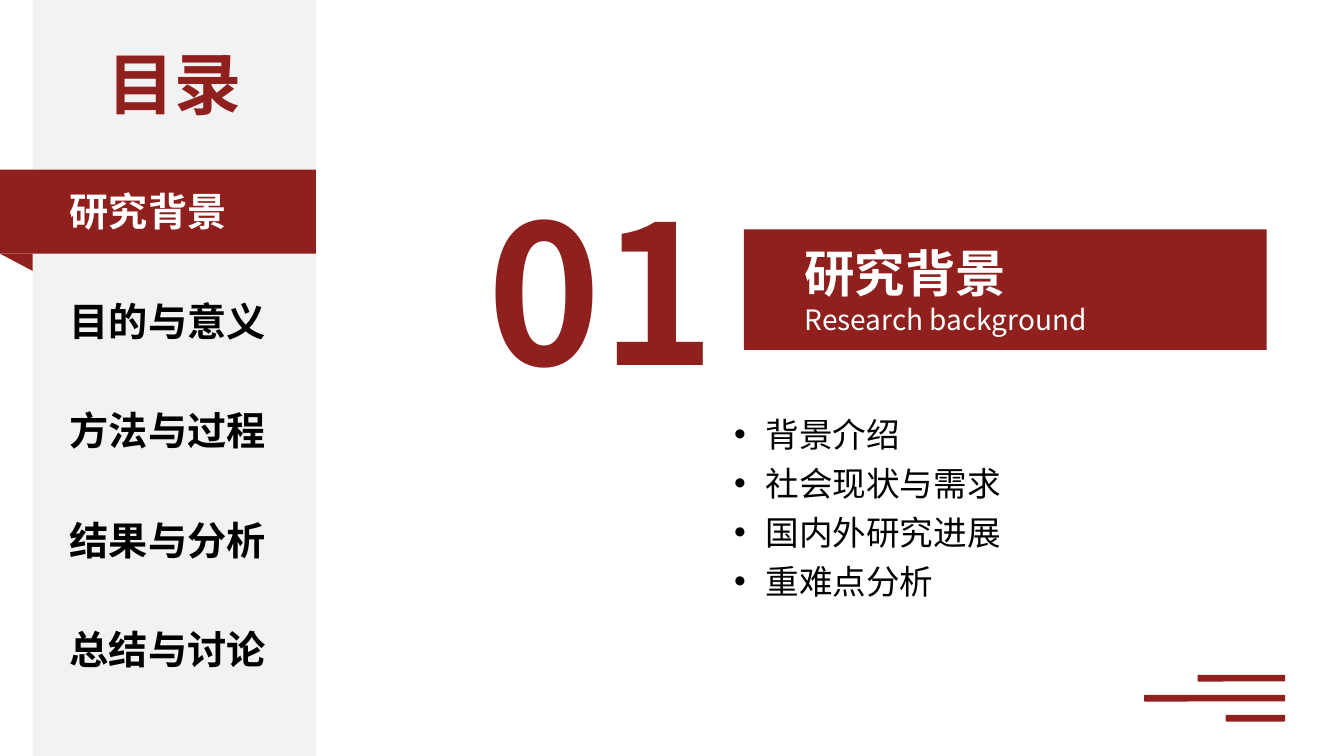
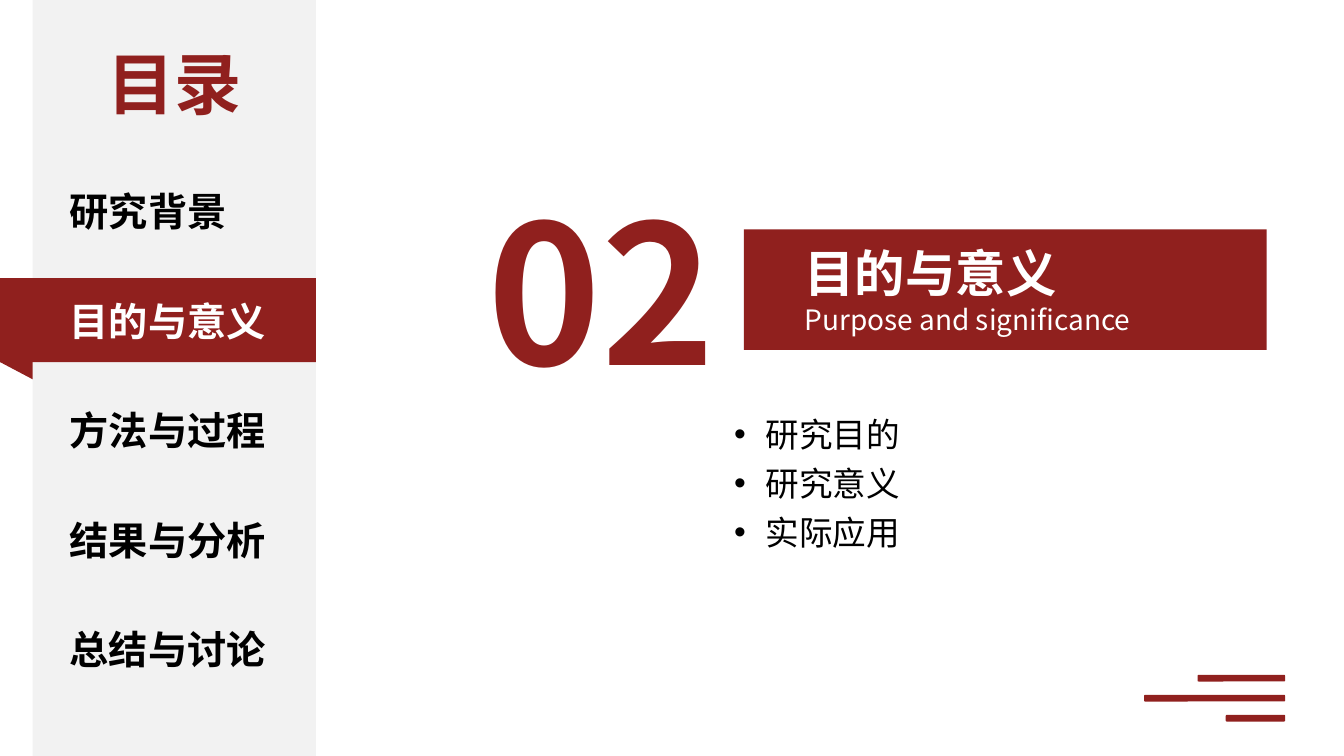
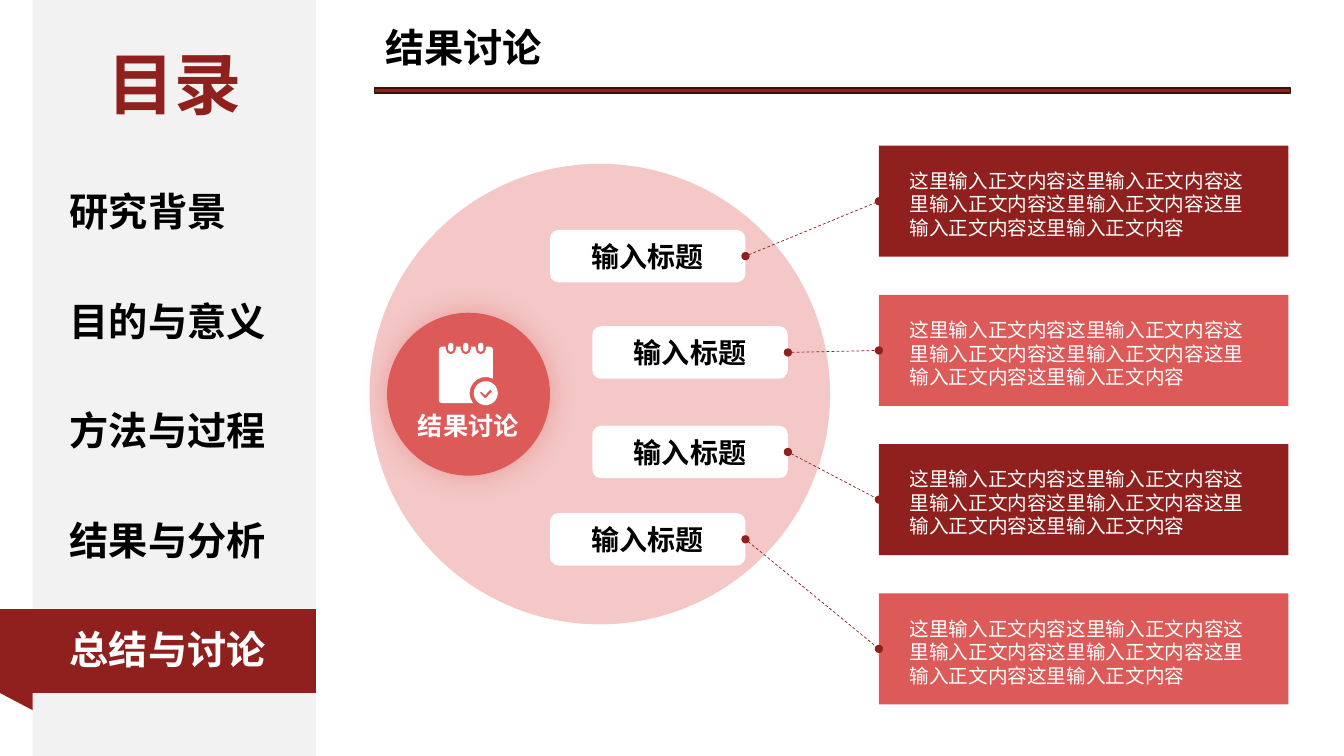
import math

import pptx
import pptx.dml.color
import pptx.enum.dml
import pptx.enum.shapes
import pptx.enum.text
import pptx.oxml
import pptx.oxml.ns
import pptx.util

Pt = pptx.util.Pt
KIND = pptx.enum.shapes.MSO_SHAPE
ALIGN = pptx.enum.text.PP_ALIGN
FONT = "Noto Sans CJK SC"
INK = {"red": "90201E", "rose": "DC5A58", "pink": "F3C8C7", "edge": "3F0E0D",
       "grey": "F2F2F2", "white": "FFFFFF", "black": "000000"}

# Sidebar
TOPICS = ["研究背景", "目的与意义", "方法与过程", "结果与分析", "总结与讨论"]
SIDE_X, SIDE_W = 23.3, 202.4
NAV_Y, NAV_STEP = 130.4, 78.2

# Section slides: topic index, ribbon top, English name, points
PARTS = [
    (0, 121.2, "Research background",
     ["背景介绍", "社会现状与需求", "国内外研究进展", "重难点分析"]),
    (1, 198.6, "Purpose and significance", ["研究目的", "研究意义", "实际应用"]),
]

# Result slide
TAGS = [(392.8, 164.2), (423.1, 233), (423.1, 304.1), (392.8, 366.5)]
CARD_X, CARD_Y, CARD_STEP = 627.8, 104.1, 106.58
BODY = "这里输入正文内容" * 6


def rgb(name):
    return pptx.dml.color.RGBColor.from_string(INK[name])


def node(tag, **attrs):
    item = pptx.oxml.parse_xml(f"<a:{tag} {pptx.oxml.ns.nsdecls('a')}/>")
    for key, value in attrs.items():
        item.set(key, str(value))
    return item


# Basic elements
def paint(shape, fill):
    shape.shadow.inherit = False
    shape.fill.solid()
    shape.fill.fore_color.rgb = rgb(fill)
    shape.line.fill.background()
    return shape


def block(slide, x, y, w, h, fill, kind=KIND.RECTANGLE):
    return paint(slide.shapes.add_shape(kind, Pt(x), Pt(y), Pt(w), Pt(h)), fill)


def write(para, text, size, ink, bold=False):
    run = para.add_run()
    run.text = text
    run.font.size, run.font.bold = Pt(size), bold
    run.font.color.rgb = rgb(ink)
    run.font.name = FONT
    run.font._element.append(node("ea", typeface=FONT))


def textbox(slide, x, y, w, h):
    frame = slide.shapes.add_textbox(Pt(x), Pt(y), Pt(w), Pt(h)).text_frame
    frame.word_wrap = True
    frame.auto_size = pptx.enum.text.MSO_AUTO_SIZE.SHAPE_TO_FIT_TEXT
    return frame


def label(slide, x, y, w, h, text, size, ink="black", bold=True, align=ALIGN.LEFT):
    frame = textbox(slide, x, y, w, h)
    frame.paragraphs[0].alignment = align
    write(frame.paragraphs[0], text, size, ink, bold)
    return frame


def bullets(slide, x, y, w, lines):
    frame = textbox(slide, x, y, w, 5.5 + 35 * len(lines))
    for i, line in enumerate(lines):
        para = frame.add_paragraph() if i else frame.paragraphs[0]
        props = para._p.get_or_add_pPr()
        props.set("marL", str(Pt(22.5)))
        props.set("indent", str(-Pt(22.5)))
        props.append(node("buFont", typeface="Arial"))
        props.append(node("buChar", char="•"))
        para.line_spacing = Pt(35)
        write(para, line, 24, "black")


def tag(slide, x, y, text):
    shape = block(slide, x, y, 139.7, 37.5, "white", KIND.ROUNDED_RECTANGLE)
    frame = shape.text_frame
    frame.vertical_anchor = pptx.enum.text.MSO_ANCHOR.MIDDLE
    frame.paragraphs[0].alignment = ALIGN.CENTER
    write(frame.paragraphs[0], text, 20, "black", True)
    return shape


def card(slide, y, fill):
    shape = block(slide, CARD_X, y, 292.6, 79.3, fill)
    label(slide, CARD_X + 14.8, y + 13, 263.5, 58, BODY, 14, "white", False)
    return shape


def link(slide, start, end):
    line = slide.shapes.add_connector(pptx.enum.shapes.MSO_CONNECTOR.STRAIGHT, 0, 0, 0, 0)
    line.begin_connect(start, 3)
    line.end_connect(end, 1)
    line.line.color.rgb = rgb("red")
    line.line.width = Pt(0.5)
    line.line.dash_style = pptx.enum.dml.MSO_LINE.DASH
    props = line.element.spPr
    stroke = props.find(pptx.oxml.ns.qn("a:ln"))
    stroke.append(node("headEnd", type="oval"))
    stroke.append(node("tailEnd", type="oval"))
    props.append(node("effectLst"))


def glow(shape, ink):
    cast = node("outerShdw", blurRad=Pt(20), dist=0, dir=0, algn="ctr", rotWithShape=0)
    tint = node("srgbClr", val=INK[ink])
    tint.append(node("alpha", val=40000))
    cast.append(tint)
    shape.element.spPr.find(pptx.oxml.ns.qn("a:effectLst")).append(cast)


# Notepad icon
def arc(x, y, r, start, end):
    steps = math.ceil(abs(end - start) / (45 if r < 5 else 20))
    turns = [math.radians(start + (end - start) * i / steps) for i in range(steps + 1)]
    return [(x + r * math.cos(t), y + r * math.sin(t)) for t in turns]


def outline(slide, loops, fill):
    loops = [[(Pt(x), Pt(y)) for x, y in loop] for loop in loops]
    pen = slide.shapes.build_freeform(*loops[0][0], scale=1.0)
    for i, loop in enumerate(loops):
        if i:
            pen.move_to(*loop[0])
        pen.add_line_segments(loop[1:], close=True)
    return paint(pen.convert_to_shape(), fill)


def notepad(slide):
    left, top, right, base = 313.5, 247.7, 352.1, 288
    hub_x, hub_y = 347, 280.9
    rings = [322 + 10.7 * i for i in range(3)]
    pad = arc(left + 2, top + 2, 2, 180, 270)
    for x in rings:
        pad += [(x - 3.6, top), *arc(x, 249.5, 3.6, 180, 0), (x + 3.6, top)]
    pad += arc(right - 2, top + 2, 2, -90, 0)
    pad += arc(hub_x, hub_y, 11.6, -64, -218)
    pad += arc(left + 2, base - 2, 2, 90, 180)
    pills = [arc(x, 246.7, 1.9, 180, 360) + arc(x, 249.4, 1.9, 0, 180) for x in rings]
    badge = arc(hub_x, hub_y, 8.6, 0, 360)
    check = [(342.6, 280.4), (346, 284.3), (347.1, 284.3), (351.5, 279.6),
             (350.2, 278.2), (346.5, 282.2), (343.9, 279.9)]
    outline(slide, [pad, *pills, badge, check], "white")


# Shared parts
def sidebar(slide, active, top):
    block(slide, SIDE_X, 0, SIDE_W, 540, "grey")
    block(slide, 0, top, SIDE_X + SIDE_W, 60, "red")
    block(slide, 0, top + 60, SIDE_X, 12.3, "red", KIND.RIGHT_TRIANGLE).rotation = 180
    label(slide, 54.8, 26.6, 139.7, 65.5, "目录", 48, "red", align=ALIGN.CENTER)
    for i, topic in enumerate(TOPICS):
        ink = "white" if i == active else "black"
        wide = 159 if i else 144
        label(slide, 42.8, NAV_Y + NAV_STEP * i, wide, 41.2, topic, 28, ink)


def stripes(slide):
    for i, wide in enumerate([62.6, 100.8, 42.5]):
        block(slide, 918 - wide, 482 + 14.3 * i, wide, 4.8, "red", KIND.ROUNDED_RECTANGLE)


# Slides
def section(slide, index, top, name, lines):
    block(slide, 531.4, 163.8, 373.4, 86.2, "red")
    sidebar(slide, index, top)
    label(slide, 313.7, 119.5, 231.8, 174.2, f"{index + 1:02}", 138, "red",
          align=ALIGN.CENTER)
    frame = label(slide, 567.6, 169.2, 324, 74.9, TOPICS[index], 36, "white")
    write(frame.add_paragraph(), name, 20, "white")
    bullets(slide, 517.3, 285.8, 319.7, lines)
    stripes(slide)


def results(slide):
    # Circle behind the tags
    block(slide, 264, 117, 329, 329, "pink", KIND.OVAL)
    sidebar(slide, 4, 435)

    # Heading and rule
    label(slide, 268.2, 13, 355, 41.2, "结果讨论", 28)
    rule = block(slide, 267.5, 62.8, 654.5, 3.7, "red")
    rule.line.color.rgb = rgb("edge")
    rule.line.width = Pt(1)

    # Hub
    glow(block(slide, 276.5, 223.4, 116.4, 116.4, "rose", KIND.OVAL), "rose")
    label(slide, 290.6, 289.4, 87.8, 29, "结果讨论", 18, "white", align=ALIGN.CENTER)
    notepad(slide)

    # Tags joined to cards
    for i, (x, y) in enumerate(TAGS):
        start = tag(slide, x, y, "输入标题")
        end = card(slide, CARD_Y + CARD_STEP * i, ("red", "rose")[i % 2])
        link(slide, start, end)


def main():
    deck = pptx.Presentation()
    deck.slide_width, deck.slide_height = Pt(960), Pt(540)
    blank = deck.slide_layouts[6]
    for part in PARTS:
        section(deck.slides.add_slide(blank), *part)
    results(deck.slides.add_slide(blank))
    deck.save("out.pptx")


if __name__ == "__main__":
    main()
